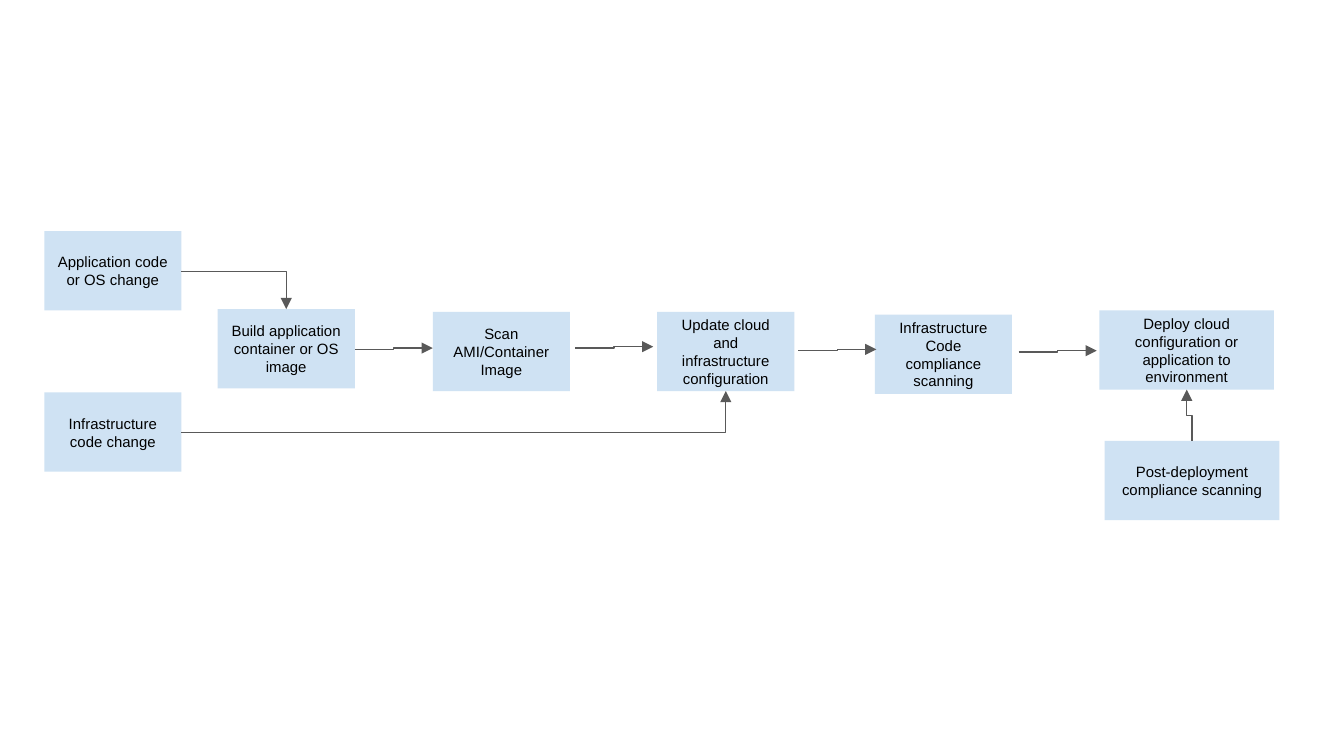
from lxml.etree import SubElement
from pptx import Presentation
from pptx.dml.color import RGBColor
from pptx.enum.shapes import MSO_CONNECTOR, MSO_SHAPE
from pptx.enum.text import MSO_ANCHOR, PP_ALIGN
from pptx.oxml.ns import qn
from pptx.util import Inches, Pt

PALE_BLUE = RGBColor(0xCF, 0xE2, 0xF3)
GREY = RGBColor(0x59, 0x59, 0x59)
BLACK = RGBColor(0, 0, 0)

SLIDE_FORMAT = {"slide_width": Inches(10), "slide_height": Inches(10) * 9 // 16}
STEP_WIDTH, WIDE_WIDTH, STEP_HEIGHT = 1.02, 1.3, 0.59
ARROW_LENGTH, ARROW_RISE = 0.58, 0.01

FRAME_FORMAT = {
    "word_wrap": True,
    "vertical_anchor": MSO_ANCHOR.MIDDLE,
    **{f"margin_{side}": Inches(0.1) for side in ("left", "top", "right", "bottom")},
}
FONT_FORMAT = {"name": "Arial", "size": Pt(8)}

STEPS = [
    ("Application code or OS change", 0.33, 1.72, STEP_WIDTH),
    ("Infrastructure code change", 0.33, 2.92, STEP_WIDTH),
    ("Build application container or OS image", 1.62, 2.3, STEP_WIDTH),
    ("Scan AMI/Container Image", 3.22, 2.32, STEP_WIDTH),
    ("Update cloud and infrastructure configuration", 4.89, 2.32, STEP_WIDTH),
    ("Infrastructure Code compliance scanning", 6.51, 2.34, STEP_WIDTH),
    ("Deploy cloud configuration or application to environment", 8.18, 2.31, WIDE_WIDTH),
    ("Post-deployment compliance scanning", 8.22, 3.28, WIDE_WIDTH),
]
FLOW_STARTS = [(2.64, 2.6), (4.28, 2.59), (5.94, 2.61), (7.58, 2.62)]
CHANGE_ARROWS = [((1.35, 2.02), (2.13, 2.3)), ((1.35, 3.22), (5.4, 2.91))]
FEEDBACK_ARROW = ((8.87, 3.28), (8.83, 2.9))


def apply_format(target, values):
    """Set every attribute named in values on target."""
    for attribute, value in values.items():
        setattr(target, attribute, value)


def add_step(slide, label, left, top, width):
    """Add one pale process box with a centred label."""
    step = slide.shapes.add_shape(
        MSO_SHAPE.RECTANGLE, *map(Inches, (left, top, width, STEP_HEIGHT)))
    step.shadow.inherit = False
    step.fill.solid()
    step.fill.fore_color.rgb = PALE_BLUE
    step.line.fill.background()
    apply_format(step.text_frame, FRAME_FORMAT)
    paragraph = step.text_frame.paragraphs[0]
    paragraph.alignment = PP_ALIGN.CENTER
    run = paragraph.add_run()
    run.text = label
    apply_format(run.font, FONT_FORMAT)
    run.font.color.rgb = BLACK


def add_arrow(slide, start, end):
    """Add an elbow connector with a triangle head at its end."""
    arrow = slide.shapes.add_connector(
        MSO_CONNECTOR.ELBOW, *map(Inches, (*start, *end)))
    arrow.line.color.rgb = GREY
    arrow.line.width = Pt(0.75)
    properties = arrow._element.spPr
    SubElement(properties.find(qn("a:ln")), qn("a:tailEnd"), type="triangle")
    SubElement(properties, qn("a:effectLst"))
    return properties


def add_corner_arrow(slide, start, end):
    """Add an arrow that runs across and then turns once."""
    properties = add_arrow(slide, start, end)
    properties.find(qn("a:prstGeom")).set("prst", "bentConnector2")


def add_upward_arrow(slide, start, end):
    """Add an arrow that leaves and arrives vertically, by a quarter turn."""
    center_x, center_y = ((a + b) / 2 for a, b in zip(start, end))
    half_width, half_height = ((a - b) / 2 for a, b in zip(start, end))
    properties = add_arrow(
        slide,
        (center_x - half_height, center_y + half_width),
        (center_x + half_height, center_y - half_width))
    properties.find(qn("a:xfrm")).set("rot", str(270 * 60000))


def main():
    """Build the compliance pipeline slide."""
    presentation = Presentation()
    apply_format(presentation, SLIDE_FORMAT)
    slide = presentation.slides.add_slide(presentation.slide_layouts[6])
    for step in STEPS:
        add_step(slide, *step)
    for left, top in FLOW_STARTS:
        add_arrow(slide, (left, top), (left + ARROW_LENGTH, top - ARROW_RISE))
    for start, end in CHANGE_ARROWS:
        add_corner_arrow(slide, start, end)
    add_upward_arrow(slide, *FEEDBACK_ARROW)
    presentation.save("out.pptx")


main()
